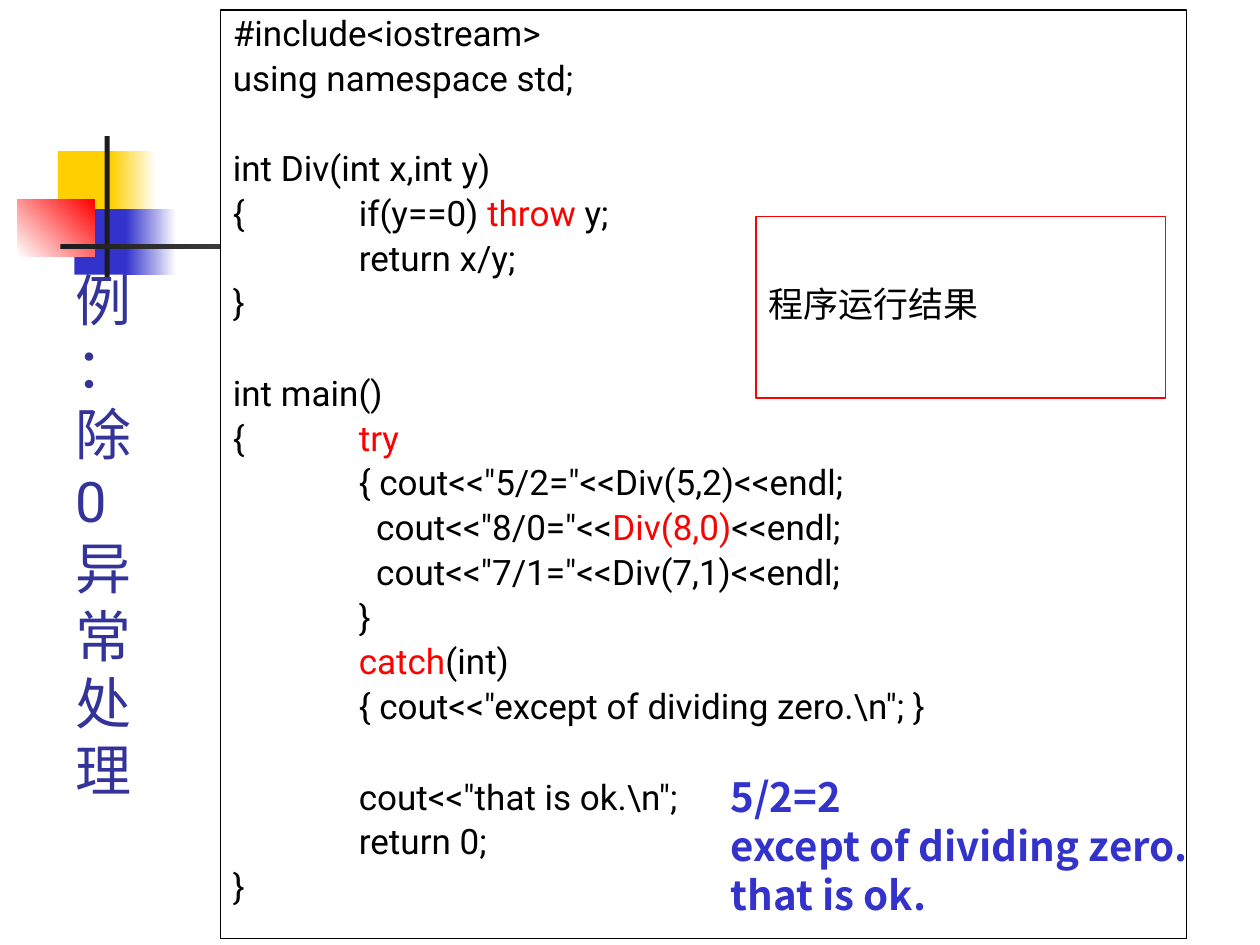
from lxml.etree import SubElement
from pptx import Presentation
from pptx.dml.color import RGBColor
from pptx.enum.shapes import MSO_SHAPE
from pptx.enum.text import MSO_ANCHOR, PP_ALIGN
from pptx.oxml.ns import qn
from pptx.util import Inches, Pt

CODE_FONT = "Roboto"
RESULT_FONT = "Noto Sans CJK SC"
BLACK, WHITE, RED = "000000", "FFFFFF", "FF0000"
YELLOW, BLUE, INK, TITLE_BLUE = "FFCF01", "3333CC", "1C1C1C", "333399"
KEYWORDS = ("throw", "try", "catch", "Div(8,0)")
LINE_GAP, BLOCK_GAP = Pt(4), Pt(30)

ORNAMENTS = [
    ((0.46, 1.2, 0.48, 0.52), (YELLOW,), 0),
    ((0.88, 1.2, 0.36, 0.52), (YELLOW, WHITE), 0),
    ((0.59, 1.66, 0.46, 0.52), (BLUE,), 0),
    ((1, 1.66, 0.4, 0.52), (BLUE, WHITE), 0),
    ((0.14, 1.58, 0.61, 0.46), (WHITE, RED), 45),
    ((0.83, 1.08, 0.04, 1.15), (INK,), 0),
    ((0.48, 1.94, 9, 0.04), (INK, WHITE), 0),
]

CODE_BLOCKS = [
    ["#include<iostream>", "using namespace std;"],
    ["int Div(int x,int y)", "{\tif(y==0) throw y;", "\treturn x/y;", "}"],
    [
        "int main()",
        "{\ttry",
        '\t{ cout<<"5/2="<<Div(5,2)<<endl;',
        '\t  cout<<"8/0="<<Div(8,0)<<endl;',
        '\t  cout<<"7/1="<<Div(7,1)<<endl;',
        "\t}",
        "\tcatch(int)",
        '\t{ cout<<"except of dividing zero.\\n"; }',
    ],
    ['\tcout<<"that is ok.\\n";', "\treturn 0;", "}"],
]


def rgb(hex_color):
    """Turn a hex string into a colour."""
    return RGBColor.from_string(hex_color)


def style_font(font, name, size, color, bold=False):
    """Set the face, size, colour and weight of a font."""
    font.name, font.size, font.bold = name, Pt(size), bold
    font.color.rgb = rgb(color)


def add_box(slide, place, colors=(), angle=0, line=None):
    """Add a rectangle with no fill, one colour or a gradient of two."""
    shape = slide.shapes.add_shape(MSO_SHAPE.RECTANGLE, *map(Inches, place))
    shape.shadow.inherit = False
    if len(colors) == 2:
        shape.fill.gradient()
        shape.fill.gradient_angle = angle
        for stop, color, position in zip(shape.fill.gradient_stops, colors, (0, 1)):
            stop.color.rgb = rgb(color)
            stop.position = position
    elif colors:
        shape.fill.solid()
        shape.fill.fore_color.rgb = rgb(colors[0])
    else:
        shape.fill.background()
    if line:
        shape.line.color.rgb = rgb(line)
        shape.line.width = Pt(0.75)
    else:
        shape.line.fill.background()
    return shape


def add_text(slide, place, text, name, size, color, bold=False, spacing=None):
    """Add a wrapping text box in one style and return its frame."""
    frame = slide.shapes.add_textbox(*map(Inches, place)).text_frame
    frame.word_wrap = True
    frame.text = text
    for paragraph in frame.paragraphs:
        paragraph.line_spacing = spacing
        for run in paragraph.runs:
            style_font(run.font, name, size, color, bold)
    return frame


def add_title(slide, place, text):
    """Add the narrow title that holds one character a line."""
    frame = add_text(slide, place, text, CODE_FONT, 32, TITLE_BLUE)
    frame.vertical_anchor = MSO_ANCHOR.BOTTOM
    properties = frame.paragraphs[0]._p.get_or_add_pPr()
    properties.set("eaLnBrk", "0")
    properties.set("hangingPunct", "0")


def add_tab_stop(paragraph, position):
    """Give a paragraph one left tab stop."""
    tabs = SubElement(paragraph._p.get_or_add_pPr(), qn("a:tabLst"))
    SubElement(tabs, qn("a:tab"), pos=str(position), algn="l")


def add_code_line(paragraph, line):
    """Write one line of code with its keyword in red."""
    keyword = next((word for word in KEYWORDS if word in line), "")
    before, match, after = line.partition(keyword) if keyword else (line, "", "")
    for text, color in ((before, BLACK), (match, RED), (after, BLACK)):
        if text:
            run = paragraph.add_run()
            run.text = text
            style_font(run.font, CODE_FONT, 20, color)


def add_code(slide, place):
    """Add the framed program listing."""
    frame = add_box(slide, place, (WHITE,), line=BLACK).text_frame
    frame.word_wrap = True
    frame.vertical_anchor = MSO_ANCHOR.TOP
    paragraph = frame.paragraphs[0]
    for block_index, block in enumerate(CODE_BLOCKS):
        for line_index, line in enumerate(block):
            if block_index or line_index:
                paragraph = frame.add_paragraph()
                paragraph.space_before = LINE_GAP if line_index else BLOCK_GAP
            paragraph.alignment = PP_ALIGN.LEFT
            paragraph.line_spacing = 0.9
            add_tab_stop(paragraph, Inches(1))
            add_code_line(paragraph, line)


def add_caption_box(slide, place, text):
    """Add the red frame with its caption."""
    frame = add_box(slide, place, line=RED).text_frame
    frame.word_wrap = True
    frame.vertical_anchor = MSO_ANCHOR.MIDDLE
    frame.margin_bottom = Inches(0.11)
    frame.text = text
    paragraph = frame.paragraphs[0]
    paragraph.alignment = PP_ALIGN.LEFT
    style_font(paragraph.runs[0].font, CODE_FONT, 20, BLACK)


def main():
    """Build the slide and save it."""
    presentation = Presentation()
    presentation.slide_width, presentation.slide_height = Inches(10), Inches(7.5)
    slide = presentation.slides.add_slide(presentation.slide_layouts[6])
    for place, colors, angle in ORNAMENTS:
        add_box(slide, place, colors, angle)
    add_title(slide, (0.5, 2.67, 0.75, 3.75), "例：除0异常处理")
    add_code(slide, (1.75, 0.08, 7.67, 7.37))
    add_caption_box(slide, (6, 1.72, 3.25, 1.44), "程序运行结果")
    add_text(slide, (5.7, 6.08, 4.06, 1.26),
             "5/2=2\nexcept of dividing zero.\nthat is ok.",
             RESULT_FONT, 23, BLUE, bold=True, spacing=Pt(27.8))
    presentation.save("out.pptx")


if __name__ == "__main__":
    main()
